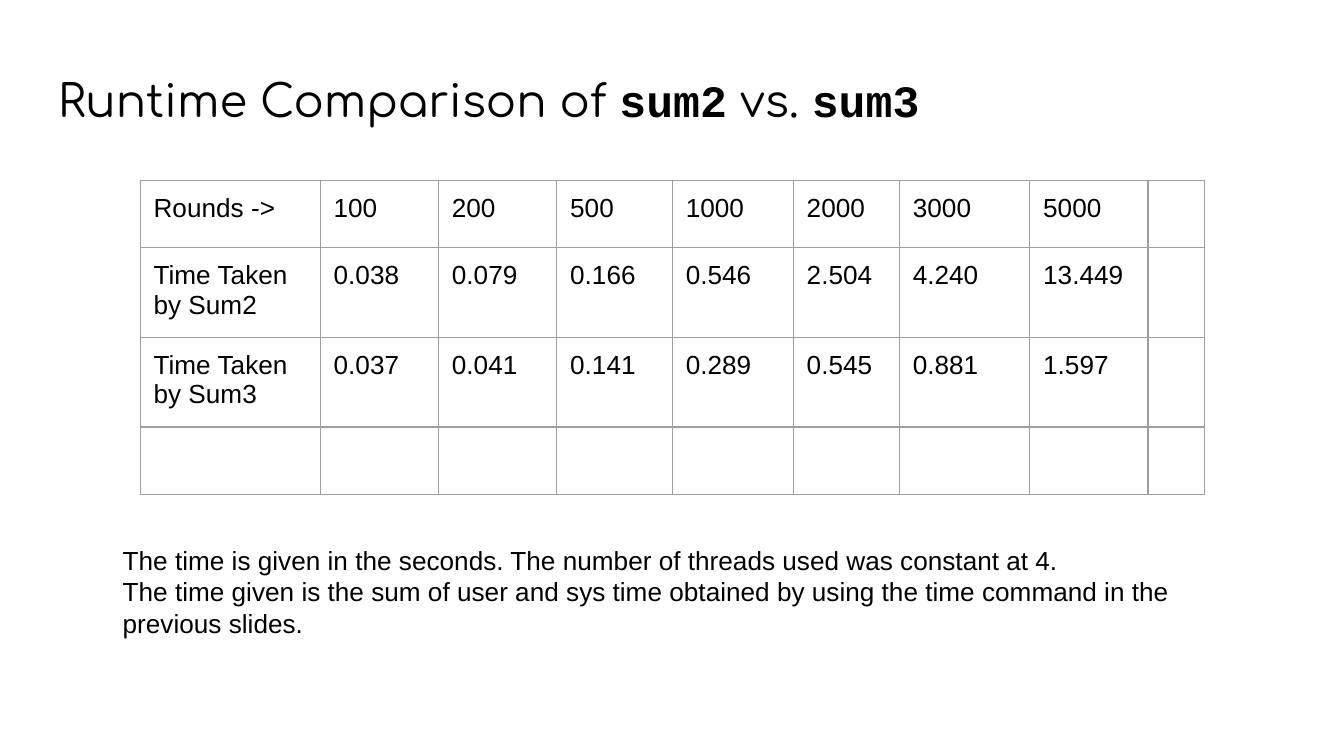
from dataclasses import dataclass
from itertools import product

from lxml.etree import SubElement
from pptx import Presentation
from pptx.dml.color import RGBColor
from pptx.enum.text import MSO_ANCHOR, MSO_AUTO_SIZE, PP_ALIGN
from pptx.oxml.ns import qn
from pptx.util import Inches, Pt


@dataclass(frozen=True)
class Theme:
    text: RGBColor = RGBColor(0, 0, 0)
    border: str = "9E9E9E"
    border_width: int = Pt(0.75)
    title_size: int = Pt(24)
    body_size: int = Pt(14)
    title_font: str = "Comfortaa"
    code_font: str = "Courier New"
    body_font: str = "Arial"
    inset: int = Inches(0.1)


THEME = Theme()
WIDTH = Inches(10)
HEIGHT = WIDTH * 9 // 16

TITLE_BOX = (0.033, 0.068, 0.912, 0.109)
TABLE_BOX = (0.1043, 0.2385, 0.792, 0.415)
NOTES_BOX = (0.0813, 0.702, 0.864, 0.162)

TITLE = [("Runtime Comparison of ", False), ("sum2", True),
         (" vs. ", False), ("sum3", True)]
COL_SHARES = [1.34, 0.88, 0.88, 0.86, 0.9, 0.79, 0.97, 0.88, 0.42]
ROW_SHARES = [3, 4, 4, 3]
ROWS = [
    ["Rounds ->", "100", "200", "500", "1000", "2000", "3000", "5000"],
    ["Time Taken by Sum2", "0.038", "0.079", "0.166", "0.546", "2.504", "4.240", "13.449"],
    ["Time Taken by Sum3", "0.037", "0.041", "0.141", "0.289", "0.545", "0.881", "1.597"],
]
NOTES = [
    "The time is given in the seconds. The number of threads used was constant at 4.",
    "The time given is the sum of user and sys time obtained by using the time "
    "command in the previous slides.",
]


def to_lengths(box):
    return [round(share * side) for share, side in zip(box, (WIDTH, HEIGHT) * 2)]


def set_insets(frame):
    frame.margin_left = frame.margin_right = THEME.inset
    frame.margin_top = frame.margin_bottom = THEME.inset


def place_frame(sp, box):
    sp.left, sp.top, sp.width, sp.height = to_lengths(box)
    tf = sp.text_frame
    set_insets(tf)
    tf.word_wrap = True
    tf.vertical_anchor = MSO_ANCHOR.TOP
    tf.auto_size = MSO_AUTO_SIZE.SHAPE_TO_FIT_TEXT
    return tf


def style_paragraph(p, size, font=None):
    p.alignment = PP_ALIGN.LEFT
    p.font.size = size
    p.font.color.rgb = THEME.text
    if font:
        p.font.name = font


def add_title(sp, box):
    p = place_frame(sp, box).paragraphs[0]
    style_paragraph(p, THEME.title_size)
    p.line_spacing = 1.15
    for text, is_code in TITLE:
        r = p.add_run()
        r.text = text
        r.font.name = THEME.code_font if is_code else THEME.title_font
        r.font.bold = is_code


def add_notes(sp, box):
    tf = place_frame(sp, box)
    tf.text = "\n".join(NOTES)
    for p in tf.paragraphs:
        style_paragraph(p, THEME.body_size, THEME.body_font)
        p.space_before = Pt(0)
        p.line_spacing = 1.0
        pPr = p._p.get_or_add_pPr()
        pPr.set("marL", "0")
        pPr.set("indent", "0")
        pPr.insert_element_before(pPr.makeelement(qn("a:buNone")),
                                  "a:tabLst", "a:defRPr", "a:extLst")


def add_borders(cell):
    tcPr = cell._tc.get_or_add_tcPr()
    for side in ("lnL", "lnR", "lnT", "lnB"):
        ln = SubElement(tcPr, qn(f"a:{side}"), w=str(THEME.border_width))
        fill = SubElement(ln, qn("a:solidFill"))
        SubElement(fill, qn("a:srgbClr"), val=THEME.border)


def add_runtimes(s, box):
    left, top, width, height = to_lengths(box)
    n_rows, n_cols = len(ROW_SHARES), len(COL_SHARES)
    table = s.shapes.add_table(n_rows, n_cols, left, top, width, height).table
    table.first_row = table.horz_banding = False
    for col, share in zip(table.columns, COL_SHARES):
        col.width = round(width * share / sum(COL_SHARES))
    for row, share in zip(table.rows, ROW_SHARES):
        row.height = round(height * share / sum(ROW_SHARES))
    for i, j in product(range(n_rows), range(n_cols)):
        cell = table.cell(i, j)
        set_insets(cell)
        add_borders(cell)
        cell.fill.background()
        if i < len(ROWS) and j < len(ROWS[i]):
            cell.text = ROWS[i][j]
            style_paragraph(cell.text_frame.paragraphs[0],
                            THEME.body_size, THEME.body_font)


def main():
    prs = Presentation()
    prs.slide_width, prs.slide_height = WIDTH, HEIGHT
    s = prs.slides.add_slide(prs.slide_layouts[1])
    add_title(s.shapes.title, TITLE_BOX)
    add_runtimes(s, TABLE_BOX)
    add_notes(s.placeholders[1], NOTES_BOX)
    prs.save("out.pptx")


if __name__ == "__main__":
    main()
